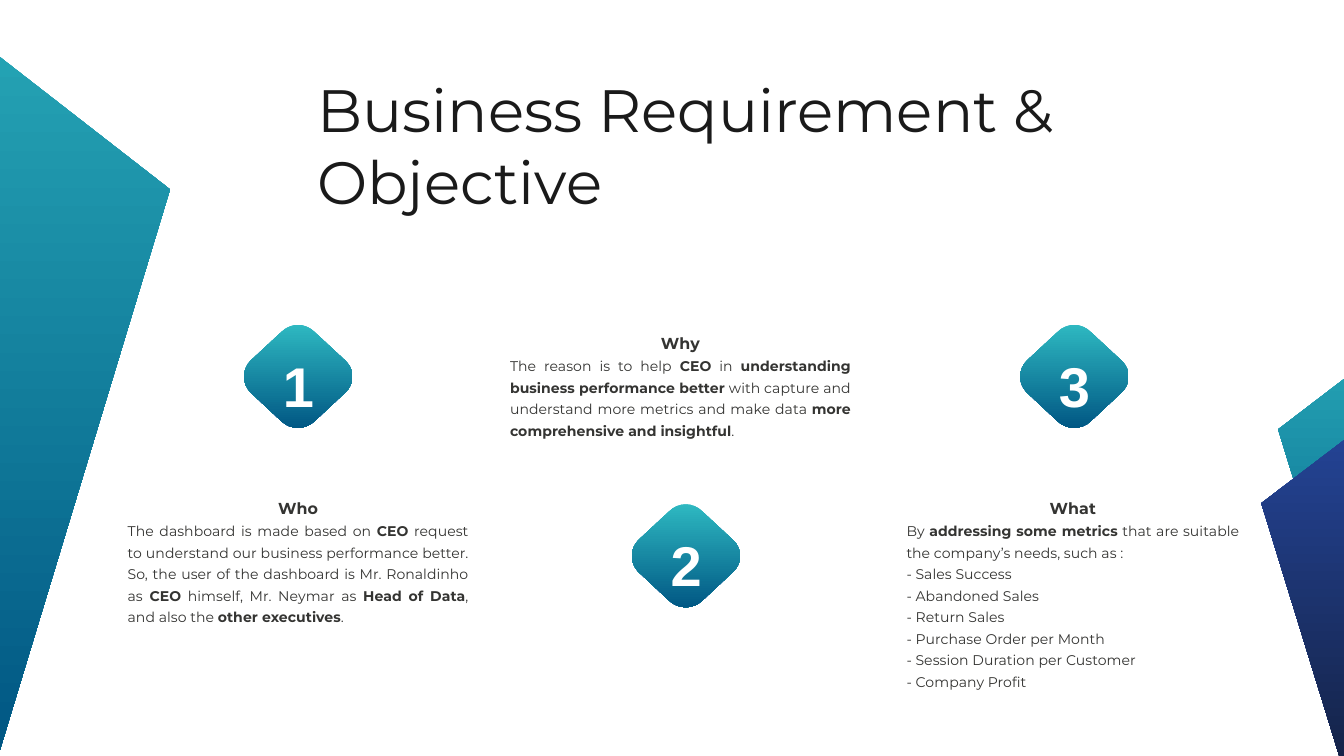
from lxml import etree
from pptx import Presentation
from pptx.dml.color import RGBColor
from pptx.enum.text import MSO_ANCHOR as Anchor, MSO_AUTO_SIZE as AutoSize, PP_ALIGN as Align
from pptx.oxml.ns import qn
from pptx.util import Pt

PX = 4572
WIDTH, HEIGHT = 2000, 1125

AQUA = RGBColor(0x2F, 0xBA, 0xC2)
OCEAN = RGBColor(0x00, 0x56, 0x83)
ROYAL = RGBColor(0x29, 0x4E, 0xAE)
NAVY = RGBColor(0x13, 0x20, 0x41)
WHITE = RGBColor(0xFF, 0xFF, 0xFF)
INK = RGBColor(0x1A, 0x1A, 0x1A)
GRAPHITE = RGBColor(0x34, 0x34, 0x32)

TITLE_FONT = {"name": "Montserrat", "size": Pt(32)}
HEADING_FONT = {"name": "Montserrat", "size": Pt(8.5), "bold": True}
BODY_FONT = {"name": "Montserrat", "size": Pt(7.5)}
NUMBER_FONT = {"name": "Arial", "size": Pt(30), "bold": True}

PENTAGON = [(50, 0), (100, 38.2), (80.9, 100), (19.1, 100), (0, 38.2)]
DIAMOND = [
    (108, 14), (154, 57), (168, 70), (168, 91), (154, 104), (108, 147), (94, 160), (73, 160),
    (59, 147), (13, 104), (0, 91), (0, 70), (13, 57), (59, 14), (73, 0), (94, 0),
]

PENTAGONS = [
    ((-1088, -240, 1341, 1366), AQUA, OCEAN),
    ((1902, 373, 696, 696), AQUA, OCEAN),
    ((1877, 483, 697, 697), ROYAL, NAVY),
]
BADGES = [((360, 480), "1"), ((937, 747), "2"), ((1515, 480), "3")]
COLUMNS = [
    ((190, 734, 507, 190), "Who", [
        "The dashboard is made based on **CEO** request to understand our business "
        "performance better. So, the user of the dashboard is Mr. Ronaldinho as **CEO** "
        "himself, Mr. Neymar as **Head of Data**, and also the **other executives**.",
    ]),
    ((759, 488, 507, 158), "Why", [
        "The reason is to help **CEO** in **understanding business performance better** "
        "with capture and understand more metrics and make data "
        "**more comprehensive and insightful**.",
    ]),
    ((1349, 734, 495, 288), "What", [
        "By **addressing some metrics** that are suitable the company’s needs, such as :",
        "- Sales Success",
        "- Abandoned Sales",
        "- Return Sales",
        "- Purchase Order per Month",
        "- Session Duration per Customer",
        "- Company Profit",
    ]),
]


def set_attributes(target, values):
    """Set every attribute named in a dict of format values."""
    for name, value in values.items():
        setattr(target, name, value)


def add_text(shapes, box, lines, font, color, align=Align.LEFT, spacing=None, inset=0,
             anchor=Anchor.TOP, auto_size=AutoSize.SHAPE_TO_FIT_TEXT):
    """Write lines in a text box, with **marked** words in bold."""
    frame = shapes.add_textbox(*(length * PX for length in box)).text_frame
    margins = dict.fromkeys(
        ("margin_left", "margin_top", "margin_right", "margin_bottom"), inset * PX)
    set_attributes(frame, {"word_wrap": True, "auto_size": auto_size,
                           "vertical_anchor": anchor, **margins})
    for index, line in enumerate(lines):
        paragraph = frame.add_paragraph() if index else frame.paragraphs[0]
        set_attributes(paragraph, {"alignment": align, "line_spacing": spacing})
        for part, words in enumerate(line.split("**")):
            run = paragraph.add_run()
            run.text = words
            set_attributes(run.font, font)
            run.font.color.rgb = color
            if part % 2:
                run.font.bold = True


def add_outline(shapes, points, top_color, bottom_color):
    """Draw a closed outline with a vertical gradient."""
    builder = shapes.build_freeform(*points[0], scale=PX)
    builder.add_line_segments(points[1:], close=True)
    shape = builder.convert_to_shape()
    shape.shadow.inherit = False
    shape.line.fill.background()
    shape.fill.gradient()
    shape.fill.gradient_angle = 270
    for stop, color in zip(shape.fill.gradient_stops, (top_color, bottom_color)):
        stop.color.rgb = color
    return shape


def round_corners(shape):
    """Turn the three segments after each straight side into one curve."""
    segments = list(shape.element.iter(qn("a:lnTo")))
    for start in range(0, len(segments), 4):
        corner = segments[start + 1:start + 4]
        curve = etree.Element(qn("a:cubicBezTo"))
        corner[0].addprevious(curve)
        for segment in corner:
            curve.append(segment[0])
            segment.getparent().remove(segment)


def add_pentagon(slide, box, top_color, bottom_color):
    """Draw a background pentagon that fills its box."""
    left, top, width, height = box
    points = [(round(left + x * width / 100), round(top + y * height / 100))
              for x, y in PENTAGON]
    add_outline(slide.shapes, points, top_color, bottom_color)


def add_badge(slide, corner, number):
    """Draw a rounded diamond with its number."""
    left, top = corner
    shapes = slide.shapes.add_group_shape().shapes
    points = [(left + x, top + y) for x, y in DIAMOND]
    round_corners(add_outline(shapes, points + points[:1], AQUA, OCEAN))
    add_text(shapes, (left + 21, top + 6, 126, 134), [number], NUMBER_FONT, WHITE,
             Align.CENTER, 1.4, 12, Anchor.MIDDLE, AutoSize.NONE)


def add_column(slide, box, heading, lines):
    """Place a centred heading over its justified body."""
    left, top, width, height = box
    add_text(slide.shapes, (left + 88, top, width - 176, 28), [heading],
             HEADING_FONT, GRAPHITE, Align.CENTER, 1.28)
    add_text(slide.shapes, (left, top + 37, width, height - 37), lines,
             BODY_FONT, GRAPHITE, Align.JUSTIFY, 1.28)


def main():
    """Build the slide and save it."""
    presentation = Presentation()
    set_attributes(presentation, {"slide_width": WIDTH * PX, "slide_height": HEIGHT * PX})
    slide = presentation.slides.add_slide(presentation.slide_layouts[6])
    for box, top_color, bottom_color in PENTAGONS:
        add_pentagon(slide, box, top_color, bottom_color)
    add_text(slide.shapes, (472, 109, 1290, 216), ["Business Requirement & Objective"],
             TITLE_FONT, INK)
    for corner, number in BADGES:
        add_badge(slide, corner, number)
    for box, heading, lines in COLUMNS:
        add_column(slide, box, heading, lines)
    presentation.save("out.pptx")


if __name__ == "__main__":
    main()
